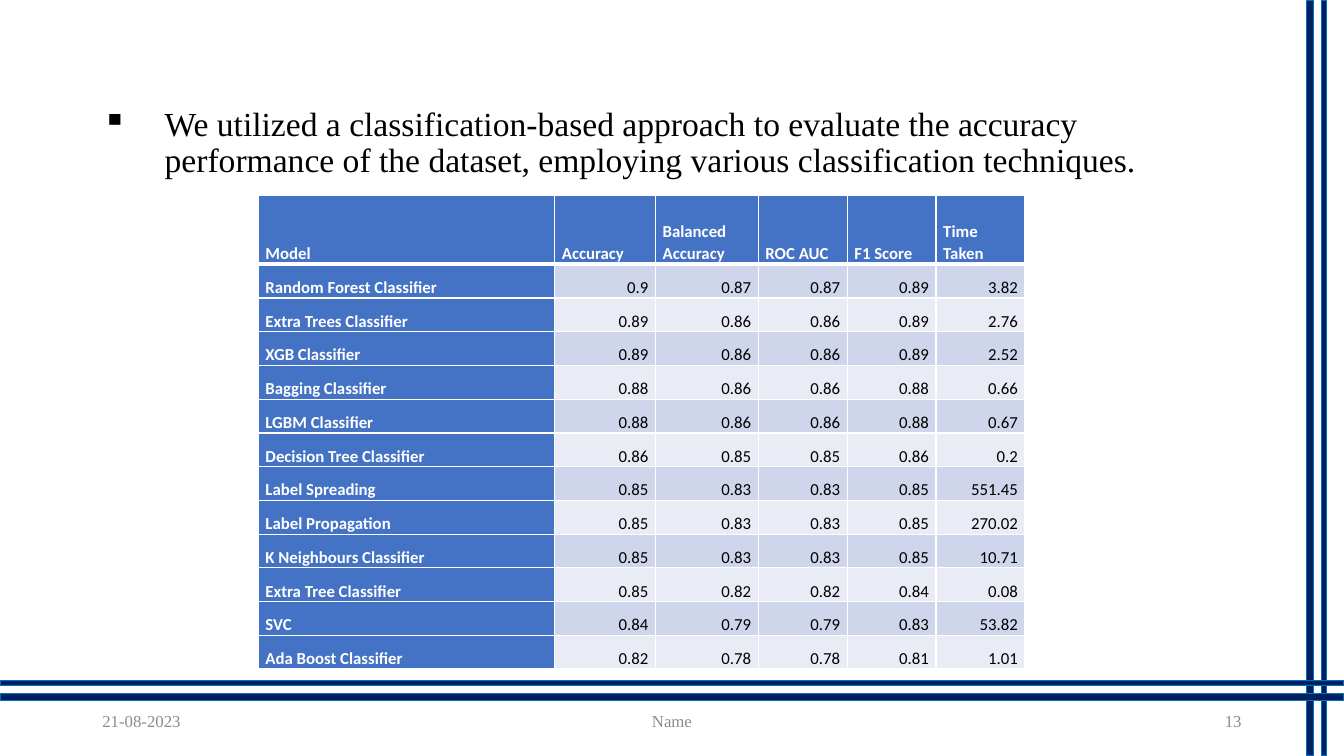
from lxml import etree
from pptx import Presentation
from pptx.dml.color import RGBColor
from pptx.enum.shapes import MSO_SHAPE as Shape
from pptx.enum.text import MSO_ANCHOR as Anchor, PP_ALIGN as Align
from pptx.oxml.ns import qn
from pptx.util import Cm, Pt

SLIDE_W, SLIDE_H = 33.87, 19.05
NAVY, BLUE, WHITE, BLACK, GREY = "002060", "4472C4", "FFFFFF", "000000", "8C8C8C"
BAR_EDGE = "0070C0"
BANDS = ("CFD5EA", "E9EBF5")
SERIF, SANS = "Times New Roman", "Calibri"

STATEMENT = ("We utilized a classification-based approach to evaluate the accuracy "
             "performance of the dataset, employing various classification techniques.")
HEADER = ("Model", "Accuracy", "Balanced Accuracy", "ROC AUC", "F1 Score", "Time Taken")
SCORES = [
    ("Random Forest Classifier", "0.9", "0.87", "0.87", "0.89", "3.82"),
    ("Extra Trees Classifier", "0.89", "0.86", "0.86", "0.89", "2.76"),
    ("XGB Classifier", "0.89", "0.86", "0.86", "0.89", "2.52"),
    ("Bagging Classifier", "0.88", "0.86", "0.86", "0.88", "0.66"),
    ("LGBM Classifier", "0.88", "0.86", "0.86", "0.88", "0.67"),
    ("Decision Tree Classifier", "0.86", "0.85", "0.85", "0.86", "0.2"),
    ("Label Spreading", "0.85", "0.83", "0.83", "0.85", "551.45"),
    ("Label Propagation", "0.85", "0.83", "0.83", "0.85", "270.02"),
    ("K Neighbours Classifier", "0.85", "0.83", "0.83", "0.85", "10.71"),
    ("Extra Tree Classifier", "0.85", "0.82", "0.82", "0.84", "0.08"),
    ("SVC", "0.84", "0.79", "0.79", "0.83", "53.82"),
    ("Ada Boost Classifier", "0.82", "0.78", "0.78", "0.81", "1.01"),
]
# left, top, width, height in cm
BARS = [
    (32.92, 0, 0.18, SLIDE_H),
    (33.3, 0, 0.13, SLIDE_H),
    (0, 17.48, SLIDE_W, 0.18),
    (0, 17.15, SLIDE_W, 0.13),
]
FOOTER = [
    ("21-08-2023", 2.33, 7.62, Align.LEFT),
    ("Name", 11.22, 11.43, Align.CENTER),
    ("13", 23.92, 7.62, Align.RIGHT),
]
FOOTER_TOP, FOOTER_H = 17.65, 1.01
STATEMENT_BOX = (2.33, 2.61, 29.21, 2.03)
BULLET_INDENT = Cm(1.57)
TABLE_LEFT, TABLE_TOP = 6.51, 4.93
COL_WIDTHS = (7.47, 2.54, 2.59, 2.24, 2.24, 2.24)
ROW_HEIGHTS = [1.73] + [0.85] * len(SCORES)
CELL_FORMAT = {"vertical_anchor": Anchor.BOTTOM, "margin_left": Cm(0.18),
               "margin_right": Cm(0.18), "margin_top": 0, "margin_bottom": 0}


def rgb(value):
    return RGBColor.from_string(value)


def write(tf, text, color, size, name, bold=False, align=Align.LEFT, spacing=1.0):
    p = tf.paragraphs[0]
    p.alignment, p.line_spacing = align, spacing
    r = p.add_run()
    r.text = text
    for key, value in {"size": Pt(size), "name": name, "bold": bold}.items():
        setattr(r.font, key, value)
    r.font.color.rgb = rgb(color)
    return p


def add_text(s, box, text, **style):
    tf = s.shapes.add_textbox(*map(Cm, box)).text_frame
    tf.word_wrap, tf.vertical_anchor = True, Anchor.MIDDLE
    return write(tf, text, name=SERIF, **style)


def add_bullet(p, char):
    pPr = p._p.get_or_add_pPr()
    pPr.set("marL", str(BULLET_INDENT))
    pPr.set("indent", str(-BULLET_INDENT))
    etree.SubElement(pPr, qn("a:buChar")).set("char", char)


def add_borders(cell, **widths):
    """Draw white cell borders; widths in points by side L, R, T, B."""
    tcPr = cell._tc.get_or_add_tcPr()
    for i, (side, width) in enumerate(widths.items()):
        ln = etree.Element(qn(f"a:ln{side}"), w=str(Pt(width)))
        fill = etree.SubElement(ln, qn("a:solidFill"))
        etree.SubElement(fill, qn("a:srgbClr")).set("val", WHITE)
        tcPr.insert(i, ln)


def add_bars(s):
    for box in BARS:
        sp = s.shapes.add_shape(Shape.RECTANGLE, *map(Cm, box))
        sp.shadow.inherit = False
        sp.fill.solid()
        sp.fill.fore_color.rgb = rgb(NAVY)
        sp.line.color.rgb = rgb(BAR_EDGE)
        sp.line.width = Pt(1)


def add_score_table(s):
    rows = [HEADER] + SCORES
    box = (TABLE_LEFT, TABLE_TOP, sum(COL_WIDTHS), sum(ROW_HEIGHTS))
    table = s.shapes.add_table(len(rows), len(HEADER), *map(Cm, box)).table
    table.first_col = True
    for col, width in zip(table.columns, COL_WIDTHS):
        col.width = Cm(width)
    for row, height in zip(table.rows, ROW_HEIGHTS):
        row.height = Cm(height)
    for i, row in enumerate(rows):
        for j, text in enumerate(row):
            cell = table.cell(i, j)
            heading = i == 0 or j == 0
            for key, value in CELL_FORMAT.items():
                setattr(cell, key, value)
            cell.fill.solid()
            cell.fill.fore_color.rgb = rgb(BLUE if heading else BANDS[(i - 1) % 2])
            add_borders(cell, L=1, R=1, T=3 if i == 1 else 1, B=3 if i == 0 else 1)
            write(cell.text_frame, text, WHITE if heading else BLACK, 12, SANS, heading,
                  Align.LEFT if heading else Align.RIGHT, 1.07)


def main():
    prs = Presentation()
    prs.slide_width, prs.slide_height = Cm(SLIDE_W), Cm(SLIDE_H)
    s = prs.slides.add_slide(prs.slide_layouts[6])
    add_bars(s)
    p = add_text(s, STATEMENT_BOX, STATEMENT, color=BLACK, size=24, spacing=0.9)
    add_bullet(p, "▪")
    add_score_table(s)
    for text, left, width, align in FOOTER:
        add_text(s, (left, FOOTER_TOP, width, FOOTER_H), text,
                 color=GREY, size=12, align=align)
    prs.save("out.pptx")


if __name__ == "__main__":
    main()
